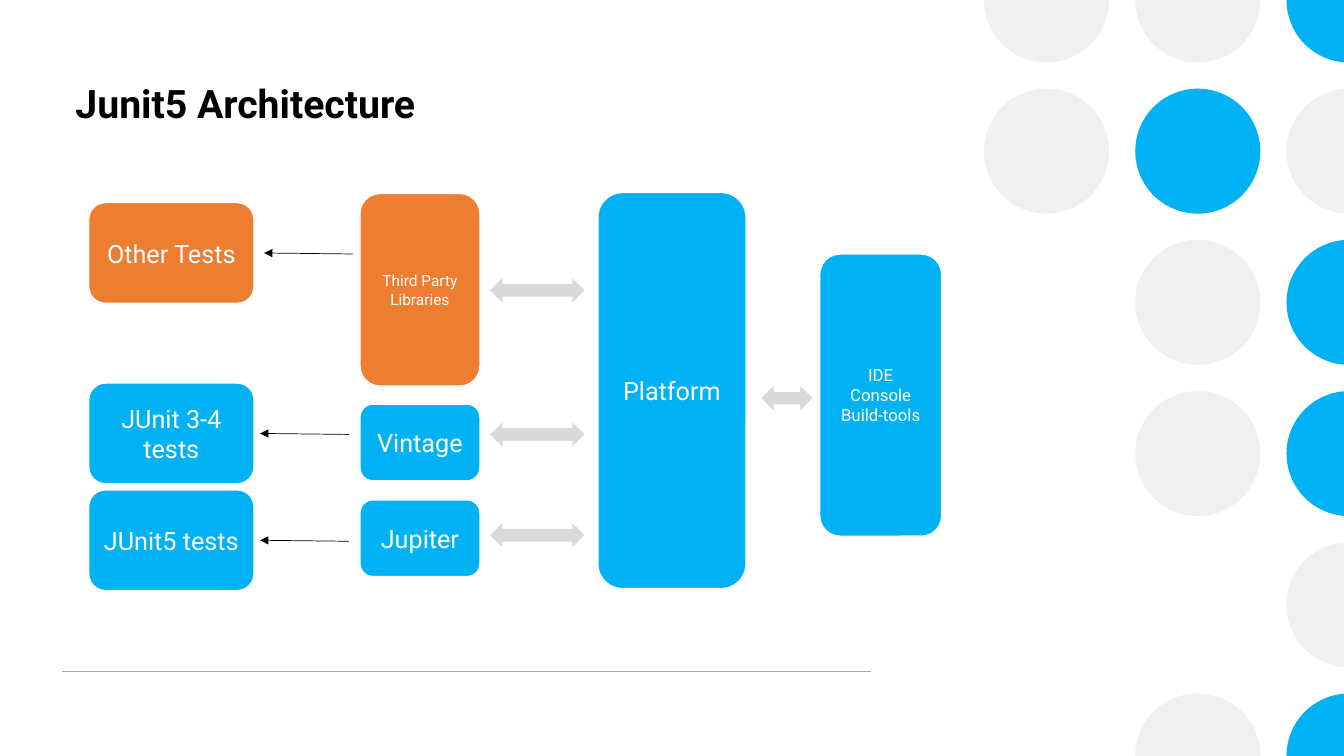
from lxml.etree import SubElement
from pptx import Presentation
from pptx.dml.color import RGBColor
from pptx.enum.shapes import MSO_CONNECTOR, MSO_SHAPE
from pptx.enum.text import MSO_ANCHOR, PP_ALIGN
from pptx.oxml.ns import qn
from pptx.util import Inches, Pt

TITLE = "Junit5 Architecture"
FONT = "Roboto"
COLORS = {"blue": "00B2F3", "orange": "ED7D31", "pale": "EFF0EF", "arrow": "D9D9D9",
          "rule": "A6A6A6", "white": "FFFFFF", "black": "000000"}
WIDTH, HEIGHT = 13.33, 7.5

# Circle pattern bleeding over the slide's edges: p = pale, b = blue, . = empty
DOTS = ["ppb", "pbp", ".pb", ".pb", "..p", ".pb"]
DOT_LEFT, DOT_PITCH, DOT_SIZE = 9.76, HEIGHT / 5, 1.24
DOT_COLORS = {"p": "pale", "b": "blue"}

# Columns of the diagram: left, width
COLUMNS = {"tests": (0.88, 1.64), "engines": (3.57, 1.19),
           "platform": (5.93, 1.47), "clients": (8.13, 1.21)}
# column, top, height, color, size, paragraphs
BOXES = [
    ("tests", 2.01, 1.0, "orange", 18, ["Other Tests"]),
    ("tests", 3.8, 1.0, "blue", 18, ["JUnit 3-4 tests"]),
    ("tests", 4.86, 1.0, "blue", 18, ["JUnit5 tests"]),
    ("engines", 1.92, 1.91, "orange", 11, ["Third Party Libraries"]),
    ("engines", 4.01, 0.76, "blue", 18, ["Vintage"]),
    ("engines", 4.96, 0.76, "blue", 18, ["Jupiter"]),
    ("platform", 1.91, 3.93, "blue", 18, ["Platform"]),
    ("clients", 2.52, 2.8, "blue", 12, ["IDE", "Console", "Build-tools"]),
]
# Double arrows: left, middle, width
DOUBLE_ARROWS = [(4.85, 2.88, 0.96), (4.85, 4.31, 0.96), (4.85, 5.31, 0.96), (7.54, 3.95, 0.53)]
DOUBLE_ARROW_HEIGHT = 0.28
# Thin arrows: right end, middle
THIN_ARROWS = [(3.5, 2.52), (3.46, 4.31), (3.46, 5.37)]
THIN_ARROW_LENGTH = 0.88


def rgb(name):
    return RGBColor.from_string(COLORS[name])


def add_shape(s, preset, left, top, width, height, fill, line=None):
    sp = s.shapes.add_shape(preset, *map(Inches, (left, top, width, height)))
    sp.shadow.inherit = False
    sp.fill.solid()
    sp.fill.fore_color.rgb = rgb(fill)
    if line:
        sp.line.color.rgb = rgb(line)
        sp.line.width = Pt(1)
    else:
        sp.line.fill.background()
    return sp


def add_run(p, text, size, color, bold=False):
    r = p.add_run()
    r.text = text
    r.font.name, r.font.size, r.font.bold = FONT, Pt(size), bold
    r.font.color.rgb = rgb(color)


def add_box(s, column, top, height, color, size, lines):
    left, width = COLUMNS[column]
    sp = add_shape(s, MSO_SHAPE.ROUNDED_RECTANGLE, left, top, width, height, color, "white")
    tf = sp.text_frame
    tf.word_wrap = True
    tf.vertical_anchor = MSO_ANCHOR.MIDDLE
    tf.margin_left = tf.margin_right = Inches(0.05)
    for i, line in enumerate(lines):
        p = tf.add_paragraph() if i else tf.paragraphs[0]
        p.alignment = PP_ALIGN.CENTER
        add_run(p, line, size, "white")


def add_line(s, x1, y1, x2, y2, color, weight, head=False):
    line = s.shapes.add_connector(MSO_CONNECTOR.STRAIGHT, *map(Inches, (x1, y1, x2, y2)))
    line.line.color.rgb = rgb(color)
    line.line.width = Pt(weight)
    if head:
        SubElement(line.line._get_or_add_ln(), qn("a:tailEnd"), type="triangle")
    SubElement(line._element.spPr, qn("a:effectLst"))


def main():
    prs = Presentation()
    prs.slide_width, prs.slide_height = Inches(WIDTH), Inches(HEIGHT)
    s = prs.slides.add_slide(prs.slide_layouts[6])

    for row, marks in enumerate(DOTS):
        for col, mark in enumerate(marks):
            if mark in DOT_COLORS:
                add_shape(s, MSO_SHAPE.OVAL, DOT_LEFT + col * DOT_PITCH,
                          row * DOT_PITCH - DOT_SIZE / 2, DOT_SIZE, DOT_SIZE, DOT_COLORS[mark])
    add_line(s, 0.62, 6.66, 8.64, 6.66, "rule", 1)

    tf = s.shapes.add_textbox(*map(Inches, (0.65, 0.74, 8.02, 1.39))).text_frame
    tf.word_wrap = True
    add_run(tf.paragraphs[0], TITLE, 28, "black", bold=True)

    for box in BOXES:
        add_box(s, *box)
    for left, middle, width in DOUBLE_ARROWS:
        add_shape(s, MSO_SHAPE.LEFT_RIGHT_ARROW, left, middle - DOUBLE_ARROW_HEIGHT / 2,
                  width, DOUBLE_ARROW_HEIGHT, "arrow", "white")
    for right, middle in THIN_ARROWS:
        add_line(s, right, middle, right - THIN_ARROW_LENGTH, middle - 0.01, "black", 0.5, head=True)

    prs.save("out.pptx")


if __name__ == "__main__":
    main()
